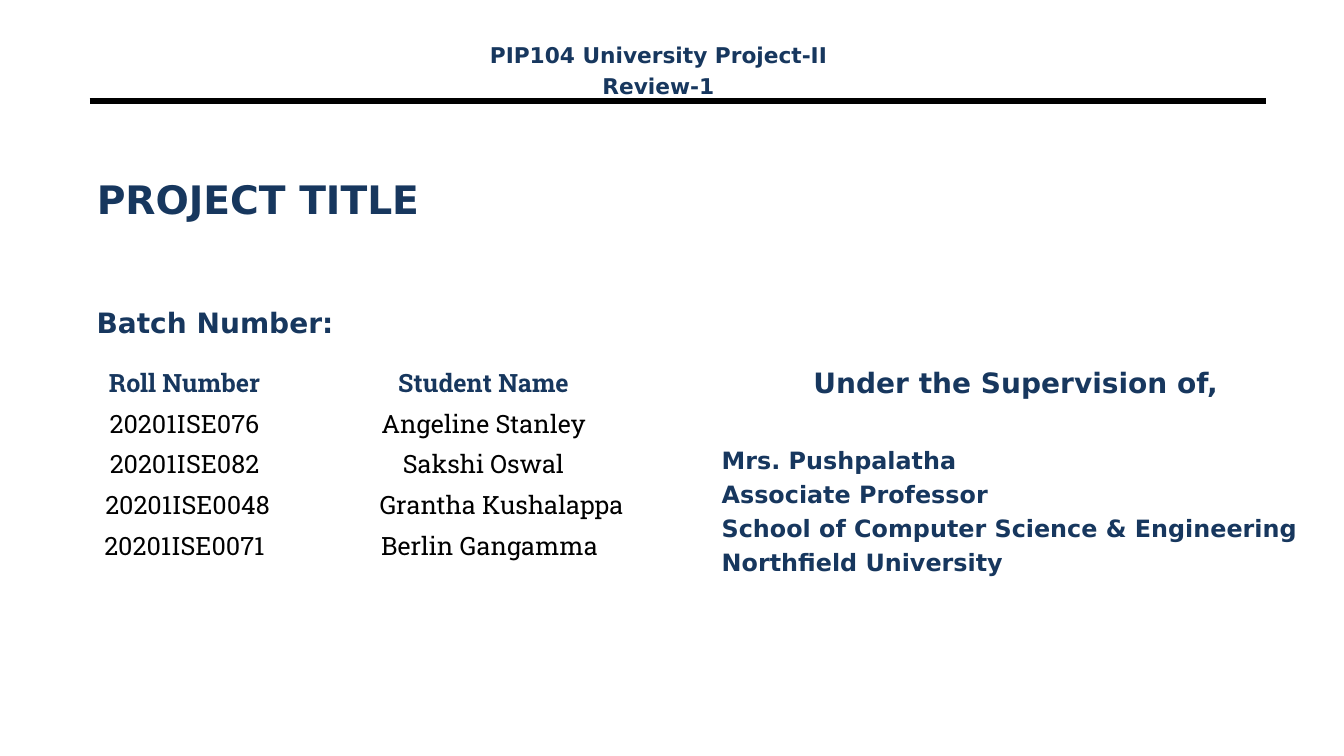
from lxml.etree import SubElement
from pptx import Presentation
from pptx.dml.color import RGBColor
from pptx.enum.shapes import MSO_CONNECTOR
from pptx.enum.text import MSO_ANCHOR, MSO_AUTO_SIZE, PP_ALIGN
from pptx.oxml.ns import qn
from pptx.util import Inches, Pt

NAVY, BLACK = "17375E", "000000"
HEADING = {"name": "DejaVu Sans", "bold": True}
CELL = {"name": "Roboto Slab", "size": Pt(18)}
LEFT, CENTER = PP_ALIGN.LEFT, PP_ALIGN.CENTER

# Roll number, name, and the left inset in inches that nudges each one
STUDENTS = [
    (("20201ISE076", 0.1), ("Angeline Stanley", 0.1)),
    (("20201ISE082", 0.1), ("Sakshi Oswal", 0.1)),
    (("20201ISE0048", 0.16), ("Grantha Kushalappa", 0.46)),
    (("20201ISE0071", 0.1), ("Berlin Gangamma", 0.22)),
]


def rgb(value):
    return RGBColor.from_string(value)


def write(para, text, color, align=LEFT, before=0, **font):
    para.alignment = align
    para.space_before = Pt(before)
    span = para.add_run()
    span.text = text
    span.font.color.rgb = rgb(color)
    for name, value in font.items():
        setattr(span.font, name, value)


def add_text(page, box, lines):
    """Each line is (text, point size, alignment, points before)."""
    frame = page.shapes.add_textbox(*map(Inches, box)).text_frame
    frame.word_wrap = True
    for index, (text, size, align, before) in enumerate(lines):
        para = frame.add_paragraph() if index else frame.paragraphs[0]
        write(para, text, NAVY, align, before, size=Pt(size), **HEADING)


def add_header(page, box):
    add_text(page, box, [("PIP104 University Project-II", 15.5, CENTER, 0),
                         ("Review-1", 15.5, CENTER, 3.1)])


def add_rule(page, left, right, y):
    rule = page.shapes.add_connector(
        MSO_CONNECTOR.STRAIGHT, *map(Inches, (left, y, right, y)))
    rule.line.color.rgb = rgb(BLACK)
    rule.line.width = Pt(4.5)
    SubElement(rule._element.spPr, qn("a:effectLst"))


def fill_title(page, box):
    title = page.shapes.title
    for name, value in zip(("left", "top", "width", "height"), box):
        setattr(title, name, Inches(value))
    frame = title.text_frame
    frame.auto_size = MSO_AUTO_SIZE.NONE
    frame.vertical_anchor = MSO_ANCHOR.MIDDLE
    write(frame.paragraphs[0], "PROJECT TITLE", NAVY, size=Pt(28), **HEADING)


def add_students(page, box):
    header = (("Roll Number", 0.1), ("Student Name", 0.1))
    blank = (("", 0.1), ("", 0.1))
    rows = [header, *STUDENTS, blank]
    table = page.shapes.add_table(len(rows), 2, *map(Inches, box)).table
    table.horz_banding = False
    for column, width in zip(table.columns, (2.28, 3.65)):
        column.width = Inches(width)
    for r, row in enumerate(rows):
        for c, (text, inset) in enumerate(row):
            cell = table.cell(r, c)
            cell.fill.background()
            cell.vertical_anchor = MSO_ANCHOR.MIDDLE
            cell.margin_left = Inches(inset)
            if text:
                write(cell.text_frame.paragraphs[0], text,
                      BLACK if r else NAVY, CENTER, bold=r == 0, **CELL)


def add_supervisor(page, box):
    add_text(page, box, [
        ("Under the Supervision of,", 20, CENTER, 0),
        ("Mrs. Pushpalatha", 17, LEFT, 32.8),
        ("Associate Professor", 17, LEFT, 4),
        ("School of Computer Science & Engineering", 17, LEFT, 4),
        ("Northfield University", 17, LEFT, 4),
    ])


def main():
    deck = Presentation()
    deck.slide_width, deck.slide_height = Inches(13.33), Inches(7.5)
    page = deck.slides.add_slide(deck.slide_layouts.get_by_name("Title Only"))
    add_rule(page, 0.89, 12.56, 1)
    fill_title(page, (0.86, 1.17, 11.33, 1.61))
    add_text(page, (0.86, 2.98, 4.34, 0.6), [("Batch Number:", 20, LEFT, 0)])
    add_students(page, (0.69, 3.58, 5.93, 2.43))
    add_supervisor(page, (7.06, 3.58, 6.03, 2.66))
    add_header(page, (4.36, 0.37, 4.34, 0.6))
    deck.save("out.pptx")


if __name__ == "__main__":
    main()
